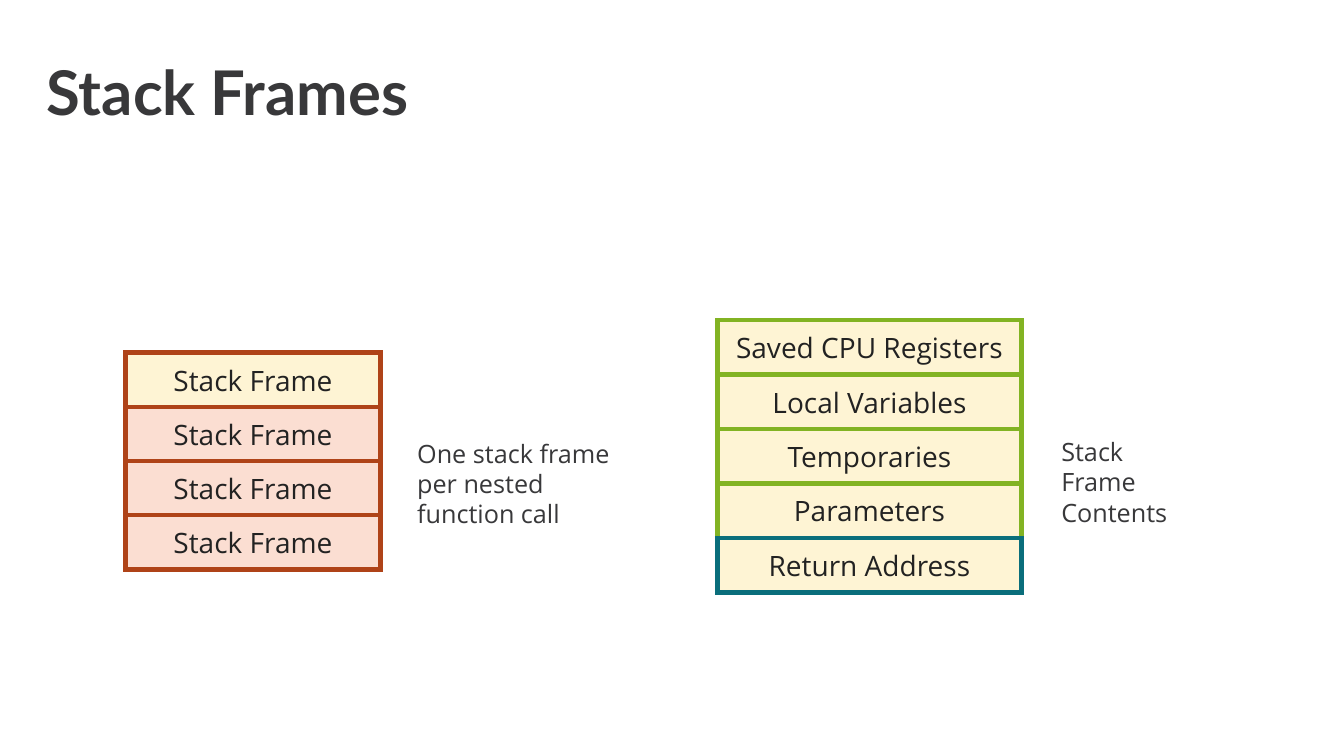
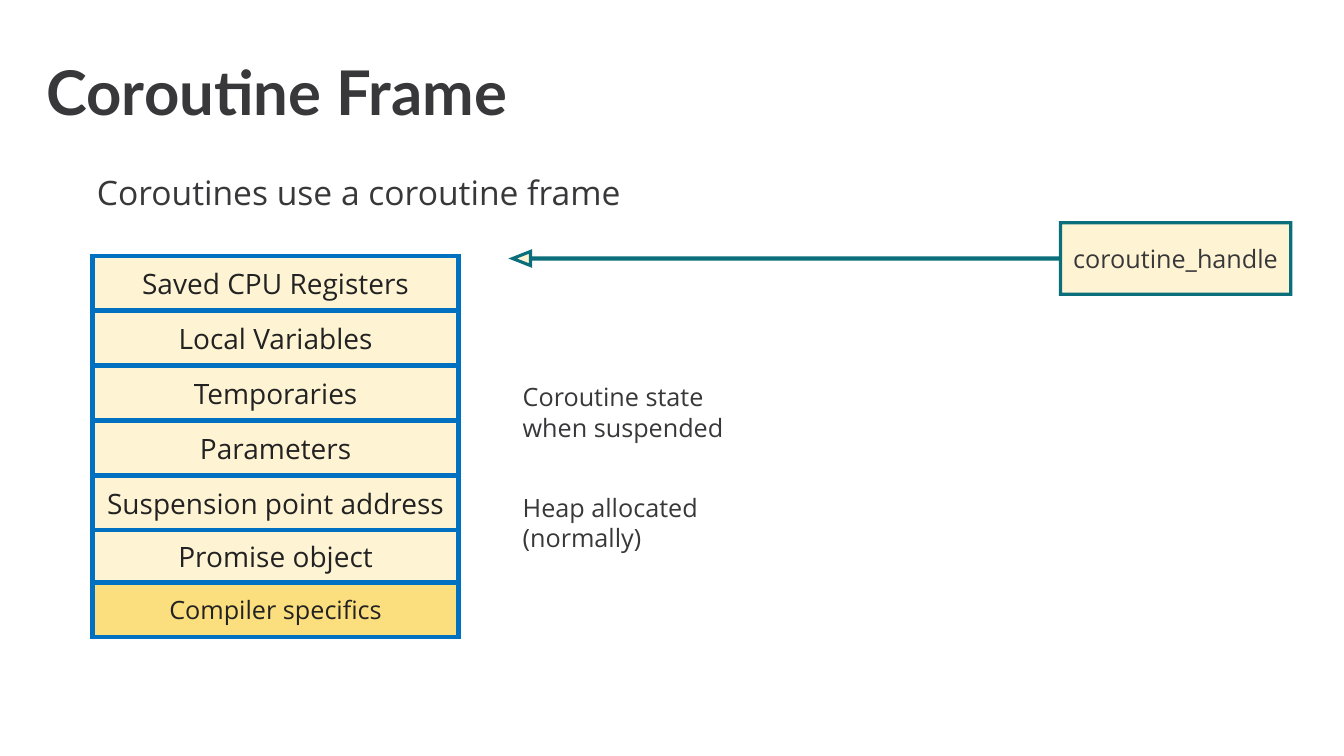
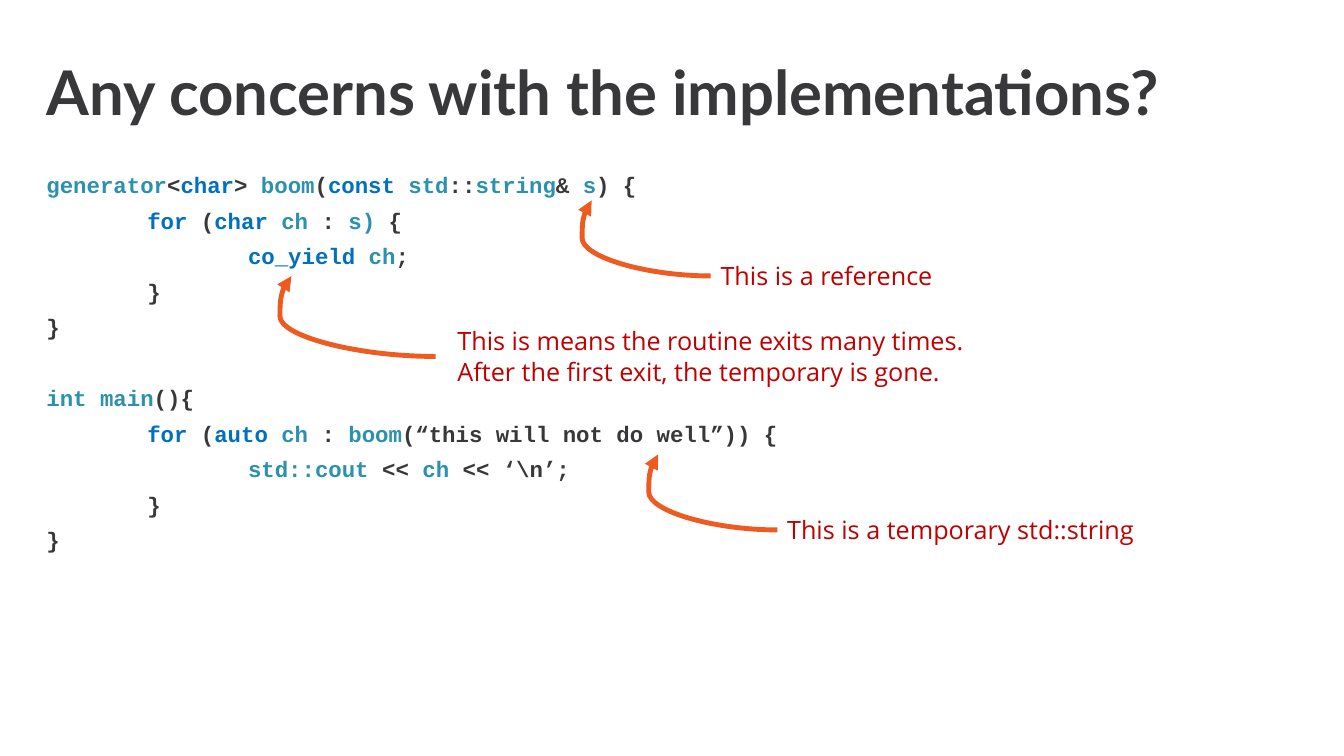
from pptx import Presentation
from pptx.dml.color import RGBColor
from pptx.enum import shapes, text
from pptx.oxml import ns
from pptx.util import Pt
from lxml import etree


class Theme:
    heading, body, mono = "Lato", "Open Sans", "Courier New"
    title_size, lead_size, row_size, note_size, code_size = 44, 24, 20, 18, 16
    ink, row_ink, warning = "38383A", "222222", "C00000"
    cream, gold, rose = "FEF4D4", "FBDE7D", "FBDED2"
    green, teal, blue, rust, orange = "82B323", "0A6E7B", "0070C0", "AF4318", "ED5B20"
    name_ink = "2B91AE"


SLIDE_WIDTH, SLIDE_HEIGHT = 960, 540
MARGIN, CONTENT_WIDTH = 26.1, 906.5
ROW_HEIGHT = 38.9

# Stack rows: (label, fill, line, type size)
CALL_STACK = [("Stack Frame", fill, Theme.rust, Theme.row_size)
              for fill in (Theme.cream, Theme.rose, Theme.rose, Theme.rose)]
SHARED_PARTS = ["Saved CPU Registers", "Local Variables", "Temporaries", "Parameters"]
STACK_FRAME = [(part, Theme.cream, Theme.green, Theme.row_size) for part in SHARED_PARTS]
STACK_FRAME += [("Return Address", Theme.cream, Theme.teal, Theme.row_size)]
COROUTINE_STATE = [(part, Theme.cream, Theme.blue, Theme.row_size)
                   for part in SHARED_PARTS + ["Suspension point address"]]
COROUTINE_EXTRAS = [("Promise object", Theme.cream, Theme.blue, Theme.row_size),
                    ("Compiler specifics", Theme.gold, Theme.blue, Theme.note_size)]

# Notes: (left, top, width, height, paragraphs)
STACK_NOTES = [
    (290.9, 309.4, 157, 72.7, ["One stack frame per nested function call"]),
    (751, 308.2, 160.6, 72.7, ["Stack", "Frame", "Contents"]),
]
COROUTINE_NOTES = [
    (366.3, 269, 160.6, 51, ["Coroutine state when suspended"]),
    (366.3, 348.2, 234.7, 51, ["Heap allocated", "(normally)"]),
]
CODE_NOTES = [
    (507.6, 182.5, 258.5, 29, ["This is a reference"]),
    (555.1, 363.6, 295.9, 29, ["This is a temporary std::string"]),
    (319.7, 229, 401, 51, ["This is means the routine exits many times.",
                           "After the first exit, the temporary is gone."]),
]
# Arrows: (left, top, width, height, bulge as a share of the width)
CODE_ARROWS = [
    (422.6, 143.1, 85, 54, 1.08),
    (470.2, 324.5, 85, 54, 1.08),
    (208.2, 197.2, 103, 57.4, 1.08),
]

# Code lines: (indent, [(token colour, text)])
N, K, P = Theme.name_ink, Theme.blue, Theme.ink
BOOM = [
    (0, [(N, "generator"), (P, "<"), (K, "char"), (P, ">"), (N, " boom"), (P, "("),
         (K, "const "), (N, "std"), (P, "::"), (N, "string"), (P, "&"), (N, " s"), (P, ") {")]),
    (1, [(K, "for"), (P, " ("), (K, "char "), (N, "ch"), (P, " : "), (N, "s) "), (P, "{")]),
    (2, [(K, "co_yield "), (N, "ch"), (P, ";")]),
    (1, [(P, "}")]),
    (0, [(P, "}")]),
]
MAIN = [
    (0, [(N, "int main"), (P, "(){")]),
    (1, [(K, "for"), (P, " ("), (K, "auto "), (N, "ch"), (P, " : "), (N, "boom"),
         (P, "(“this will not do well”)) {")]),
    (2, [(N, "std::cout "), (P, "<< "), (N, "ch "), (P, "<< ‘\\n’;")]),
    (1, [(P, "}")]),
    (0, [(P, "}")]),
]
CODE_INDENT, LINE_GAP, FUNCTION_GAP = 72, 10, 35.4


def rgb(value):
    return RGBColor.from_string(value)


def add_run(paragraph, words, size, color, face=Theme.body, bold=False):
    run = paragraph.add_run()
    run.text = words
    run.font.size, run.font.name, run.font.bold = Pt(size), face, bold
    run.font.color.rgb = rgb(color)


def next_paragraph(frame, index):
    return frame.paragraphs[0] if index == 0 else frame.add_paragraph()


def add_text_frame(slide, left, top, width, height):
    frame = slide.shapes.add_textbox(Pt(left), Pt(top), Pt(width), Pt(height)).text_frame
    frame.word_wrap = True
    return frame


def add_titled_slide(deck, title):
    slide = deck.slides.add_slide(deck.slide_layouts[6])
    frame = add_text_frame(slide, MARGIN, 28.8, CONTENT_WIDTH, 79.2)
    frame.vertical_anchor = text.MSO_ANCHOR.MIDDLE
    frame.paragraphs[0].line_spacing = 0.9
    add_run(frame.paragraphs[0], title, Theme.title_size, Theme.ink, Theme.heading, True)
    return slide


def add_notes(slide, notes, color=Theme.ink):
    for *place, lines in notes:
        frame = add_text_frame(slide, *place)
        for index, line in enumerate(lines):
            add_run(next_paragraph(frame, index), line, Theme.note_size, color)


def add_box(slide, kind, place, label, fill, line, line_width, size, ink):
    """Add a sharp-cornered shape with a centred label."""
    box = slide.shapes.add_shape(kind, *map(Pt, place))
    box.shadow.inherit = False
    box.fill.solid()
    box.fill.fore_color.rgb = rgb(fill)
    box.line.color.rgb = rgb(line)
    box.line.width = Pt(line_width)
    outline = box.element.spPr.find(ns.qn("a:ln"))
    etree.SubElement(outline, ns.qn("a:miter"), lim="800000")
    frame = box.text_frame
    frame.word_wrap = True
    frame.vertical_anchor = text.MSO_ANCHOR.MIDDLE
    frame.paragraphs[0].alignment = text.PP_ALIGN.CENTER
    add_run(frame.paragraphs[0], label, size, ink)
    return box


def add_stack(slide, left, top, width, pitch, rows):
    for index, (label, fill, line, size) in enumerate(rows):
        add_box(slide, shapes.MSO_SHAPE.RECTANGLE,
                (left, top + index * pitch, width, ROW_HEIGHT),
                label, fill, line, 3.25, size, Theme.row_ink)


def add_hook_arrow(slide, left, top, width, height, bulge):
    """Curve from the lower right, round past the left edge, to the upper left."""
    arrow = slide.shapes.add_connector(shapes.MSO_CONNECTOR.CURVE, Pt(left), Pt(top),
                                       Pt(left + width), Pt(top + height))
    arrow.line.color.rgb = rgb(Theme.orange)
    arrow.line.width = Pt(3.5)
    properties = arrow.element.spPr
    properties.find(ns.qn("a:xfrm")).set("rot", str(180 * 60000))
    guides = properties.find(ns.qn("a:prstGeom")).find(ns.qn("a:avLst"))
    etree.SubElement(guides, ns.qn("a:gd"), name="adj1", fmla=f"val {round(bulge * 100000)}")
    etree.SubElement(properties.find(ns.qn("a:ln")), ns.qn("a:tailEnd"), type="triangle")
    etree.SubElement(properties, ns.qn("a:effectLst"))


def add_code(slide, functions):
    frame = add_text_frame(slide, MARGIN, 122.4, CONTENT_WIDTH, 363.6)
    index = 0
    for function in functions:
        for number, (indent, tokens) in enumerate(function):
            paragraph = next_paragraph(frame, index)
            paragraph.line_spacing = 0.8
            if index:
                paragraph.space_before = Pt(LINE_GAP if number else FUNCTION_GAP)
            margin = paragraph._p.get_or_add_pPr()
            margin.set("marL", str(Pt(indent * CODE_INDENT)))
            margin.set("indent", "0")
            for color, words in tokens:
                add_run(paragraph, words, Theme.code_size, color, Theme.mono, True)
            index += 1


def build_stack_frames(deck):
    slide = add_titled_slide(deck, "Stack Frames")
    add_stack(slide, 89.6, 252, 182.2, 38.6, CALL_STACK)
    add_stack(slide, 512.4, 228.7, 217.4, 38.9, STACK_FRAME)
    add_notes(slide, STACK_NOTES)


def build_coroutine_frame(deck):
    slide = add_titled_slide(deck, "Coroutine Frame")
    lead = add_text_frame(slide, MARGIN + 36, 122.4, CONTENT_WIDTH - 36, 40).paragraphs[0]
    lead.line_spacing = 0.9
    add_run(lead, "Coroutines use a coroutine frame", Theme.lead_size, Theme.ink)
    add_stack(slide, 66.2, 378, 261.4, 38.2, COROUTINE_EXTRAS)
    add_stack(slide, 66.2, 182.9, 261.4, 39.2, COROUTINE_STATE)
    add_notes(slide, COROUTINE_NOTES)
    handle = add_box(slide, shapes.MSO_SHAPE.LEFT_ARROW_CALLOUT, (366.2, 159.1, 555.8, 51.1),
                     "coroutine_handle", Theme.cream, Theme.teal, 2.25,
                     Theme.note_size, Theme.ink)
    for index, share in enumerate((0.017, 0.099, 0.25, 0.296)):
        handle.adjustments[index] = share


def build_concerns(deck):
    slide = add_titled_slide(deck, "Any concerns with the implementations?")
    add_code(slide, [BOOM, MAIN])
    for arrow in CODE_ARROWS:
        add_hook_arrow(slide, *arrow)
    add_notes(slide, CODE_NOTES, Theme.warning)


def main():
    deck = Presentation()
    deck.slide_width, deck.slide_height = Pt(SLIDE_WIDTH), Pt(SLIDE_HEIGHT)
    build_stack_frames(deck)
    build_coroutine_frame(deck)
    build_concerns(deck)
    deck.save("out.pptx")


if __name__ == "__main__":
    main()
